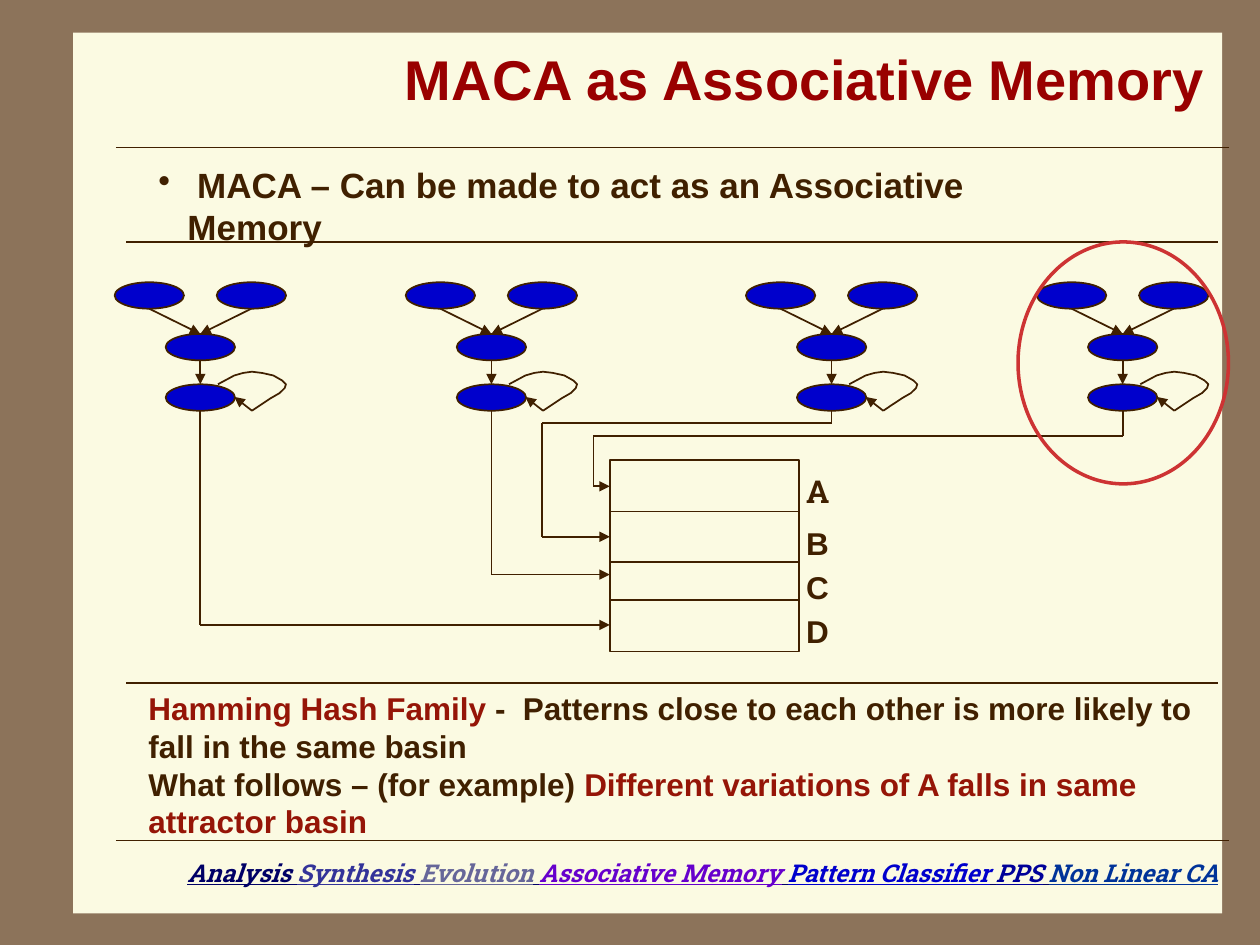
"""Build the slide on associative memory with four attractor basins and a lookup table."""
import functools
from dataclasses import dataclass
from typing import Any

import lxml.etree
import pptx
import pptx.dml.color
import pptx.enum.shapes
import pptx.enum.text
import pptx.oxml.ns
import pptx.util

RGBColor = pptx.dml.color.RGBColor
Align = pptx.enum.text.PP_ALIGN
Anchor = pptx.enum.text.MSO_ANCHOR
Preset = pptx.enum.shapes.MSO_SHAPE
Point = tuple[float, float]

BROWN = RGBColor(0x8C, 0x73, 0x5A)
CREAM = RGBColor(0xFB, 0xFA, 0xE2)
INK = RGBColor(0x40, 0x20, 0x00)
BLUE = RGBColor(0x00, 0x00, 0xCC)
TITLE_RED = RGBColor(0x99, 0x00, 0x00)
TEXT_RED = RGBColor(0x95, 0x15, 0x07)
RING_RED = RGBColor(0xCD, 0x33, 0x33)
NAVY = RGBColor(0x00, 0x00, 0x66)
INDIGO = RGBColor(0x33, 0x33, 0x99)
SLATE = RGBColor(0x66, 0x66, 0x99)
VIOLET = RGBColor(0x66, 0x00, 0xCC)
DEEP_BLUE = RGBColor(0x00, 0x00, 0x99)
SEA_BLUE = RGBColor(0x00, 0x33, 0x99)

COLUMNS, ROWS = 100, 75
SLIDE_WIDTH, SLIDE_HEIGHT = pptx.util.Inches(10), pptx.util.Inches(7.5)
CELL_WIDTH, CELL_HEIGHT = SLIDE_WIDTH // COLUMNS, SLIDE_HEIGHT // ROWS

NODE_WIDTH, NODE_HEIGHT = 5.5, 2.1
NODE_TOPS = (22.4, 26.5, 30.5)
BRANCH = 4.05
NODE_BOTTOM = 32.6
LOOP = ((1.4, 30.5), (2.7, 29.8), (3.4, 29.6), (4.1, 29.5), (4.9, 29.6), (5.8, 29.8),
        (6.5, 30.2), (6.8, 30.5), (6.7, 30.8), (6.3, 31.2), (5.6, 31.6), (4.7, 32.2),
        (4.1, 32.6))
TABLE_LEFT, TABLE_RIGHT = 48.4, 63.4
TABLE_EDGES = (36.5, 40.6, 44.6, 47.6, 51.7)


@dataclass(frozen=True)
class Box:
    """A rectangle in grid columns and rows."""
    left: float
    top: float
    width: float
    height: float

    def place(self) -> tuple[int, int, int, int]:
        """Return the rectangle in slide units."""
        return (round(self.left * CELL_WIDTH), round(self.top * CELL_HEIGHT),
                round(self.width * CELL_WIDTH), round(self.height * CELL_HEIGHT))


@dataclass(frozen=True)
class Run:
    """A stretch of text in one colour."""
    text: str
    color: RGBColor = INK


@dataclass(frozen=True)
class Basin:
    """An attractor basin, its root column and the corners of its route to the table."""
    root: float
    corners: tuple[Point, ...]


@dataclass(frozen=True)
class Entry:
    """A label beside a table row."""
    name: str
    top: float
    font: str = "Arial"


BASINS = (
    Basin(15.9, ((15.9, 49.6),)),
    Basin(39, ((39, 45.6),)),
    Basin(66, ((66, 33.6), (43, 33.6), (43, 42.6))),
    Basin(89.1, ((89.1, 34.6), (47.1, 34.6), (47.1, 38.6))),
)
ENTRIES = (Entry("A", 37, "Roboto Slab"), Entry("B", 41.1), Entry("C", 44.6), Entry("D", 48.1))
RULES = ((9.2, 97.5, 11.7), (9.2, 97.5, 66.7), (10, 96.7, 19.2), (10, 96.7, 54.2))
TOPICS = (Run("Analysis ", NAVY), Run("Synthesis", INDIGO), Run(" ", NAVY),
          Run("Evolution", SLATE), Run(" ", NAVY), Run("Associative Memory", VIOLET),
          Run(" ", NAVY), Run("Pattern Classifier", BLUE), Run(" ", NAVY),
          Run("PPS", DEEP_BLUE), Run(" ", NAVY), Run("Non Linear CA", SEA_BLUE))
NOTES = (
    (Run("Hamming Hash Family", TEXT_RED),
     Run(" -  Patterns close to each other is more likely to fall in the same basin")),
    (Run("What follows – (for example) "),
     Run("Different variations of A falls in same attractor basin", TEXT_RED)),
)


def apply_format(target: Any, values: dict[str, Any]) -> None:
    """Set each dotted attribute of the target."""
    for name, value in values.items():
        *parents, last = name.split(".")
        setattr(functools.reduce(getattr, parents, target), last, value)


def style_shape(shape: Any, fill: RGBColor | None, line: RGBColor | None, width: float) -> None:
    """Give a shape its fill and outline and remove its shadow."""
    shape.shadow.inherit = False
    for part, color in ((shape.fill, fill), (shape.line.fill, line)):
        if color is None:
            part.background()
        else:
            part.solid()
            part.fore_color.rgb = color
    if line is not None:
        shape.line.width = pptx.util.Pt(width)


def add_preset(slide: Any, preset: Any, box: Box, fill: RGBColor | None,
               line: RGBColor | None = INK, width: float = 1) -> None:
    """Draw a preset shape."""
    style_shape(slide.shapes.add_shape(preset, *box.place()), fill, line, width)


def add_line(slide: Any, start: Point, end: Point, arrow: bool = False) -> None:
    """Draw a straight line, with an arrowhead at its end if asked."""
    ends = [round(value * cell) for point in (start, end)
            for value, cell in zip(point, (CELL_WIDTH, CELL_HEIGHT))]
    connector = slide.shapes.add_connector(pptx.enum.shapes.MSO_CONNECTOR.STRAIGHT, *ends)
    apply_format(connector, {"line.color.rgb": INK, "line.width": pptx.util.Pt(1)})
    qualify = pptx.oxml.ns.qn
    properties = connector.line._get_or_add_ln()
    if arrow:
        lxml.etree.SubElement(properties, qualify("a:tailEnd"), type="triangle")
    lxml.etree.SubElement(properties.getparent(), qualify("a:effectLst"))


def add_text(slide: Any, box: Box, paragraphs: tuple[tuple[Run, ...], ...], size: float,
             font: str = "Arial", align: Any = Align.LEFT, anchor: Any = Anchor.TOP,
             bullet: bool = False, decorated: bool = False) -> None:
    """Write bold paragraphs of coloured runs in a text box."""
    frame = slide.shapes.add_textbox(*box.place()).text_frame
    apply_format(frame, {"word_wrap": True, "vertical_anchor": anchor})
    for index, runs in enumerate(paragraphs):
        paragraph = frame.add_paragraph() if index else frame.paragraphs[0]
        paragraph.alignment = align
        if bullet:
            properties = paragraph._p.get_or_add_pPr()
            indent = round(2.3 * CELL_WIDTH)
            properties.set("marL", str(indent))
            properties.set("indent", str(-indent))
            lxml.etree.SubElement(properties, pptx.oxml.ns.qn("a:buChar"), char="•")
        for item in runs:
            run = paragraph.add_run()
            run.text = item.text
            apply_format(run.font, {"name": font, "size": pptx.util.Pt(size), "bold": True,
                                    "italic": decorated, "underline": decorated,
                                    "color.rgb": item.color})


def add_basin(slide: Any, basin: Basin) -> None:
    """Draw a basin's nodes, arrows, self-loop and route to the table."""
    root = basin.root
    top, middle, bottom = NODE_TOPS
    for center, node_top in ((root - BRANCH, top), (root + BRANCH, top),
                             (root, middle), (root, bottom)):
        add_preset(slide, Preset.OVAL,
                   Box(center - NODE_WIDTH / 2, node_top, NODE_WIDTH, NODE_HEIGHT), BLUE)
    for side in (-BRANCH, BRANCH):
        add_line(slide, (root + side, top + NODE_HEIGHT), (root, middle), True)
    add_line(slide, (root, middle + NODE_HEIGHT), (root, bottom), True)

    points = [(round((root + x) * CELL_WIDTH), round(y * CELL_HEIGHT)) for x, y in LOOP]
    builder = slide.shapes.build_freeform(*points[0])
    builder.add_line_segments(points[1:], close=False)
    style_shape(builder.convert_to_shape(), None, INK, 1)
    add_line(slide, (root + LOOP[-1][0], LOOP[-1][1]), (root + 2.7, 31.5), True)

    route = ((root, NODE_BOTTOM), *basin.corners, (TABLE_LEFT, basin.corners[-1][1]))
    for index, (start, end) in enumerate(zip(route, route[1:]), 2):
        add_line(slide, start, end, index == len(route))


def main() -> None:
    """Build and save the presentation."""
    presentation = pptx.Presentation()
    apply_format(presentation, {"slide_width": SLIDE_WIDTH, "slide_height": SLIDE_HEIGHT})
    slide = presentation.slides.add_slide(presentation.slide_layouts[6])
    slide.background.fill.solid()
    slide.background.fill.fore_color.rgb = BROWN
    add_preset(slide, Preset.RECTANGLE, Box(5.8, 2.6, 91.2, 69.9), CREAM, None)
    for left, right, row in RULES:
        add_line(slide, (left, row), (right, row))
    add_text(slide, Box(10.8, 0.8, 85.8, 10.8),
             ((Run("MACA as Associative Memory", TITLE_RED),),), 32,
             align=Align.RIGHT, anchor=Anchor.MIDDLE)
    add_text(slide, Box(11.6, 12.5, 76.3, 4.3),
             ((Run(" MACA – Can be made to act as an Associative Memory"),),), 20, bullet=True)
    add_preset(slide, Preset.RECTANGLE,
               Box(TABLE_LEFT, TABLE_EDGES[0], TABLE_RIGHT - TABLE_LEFT,
                   TABLE_EDGES[-1] - TABLE_EDGES[0]), CREAM)
    for row in TABLE_EDGES[1:-1]:
        add_line(slide, (TABLE_LEFT, row), (TABLE_RIGHT, row))
    for basin in BASINS:
        add_basin(slide, basin)
    for entry in ENTRIES:
        add_text(slide, Box(63, entry.top, 3.8, 4), ((Run(entry.name),),), 18, entry.font)
    add_text(slide, Box(10.8, 54.2, 85.8, 13), NOTES, 18)
    add_text(slide, Box(6, 67.6, 91.7, 5.7), (TOPICS,), 14, "Roboto Slab",
             Align.RIGHT, decorated=True)
    add_preset(slide, Preset.OVAL, Box(80.8, 19.2, 16.7, 19.2), None, RING_RED, 2)
    presentation.save("out.pptx")


if __name__ == "__main__":
    main()
